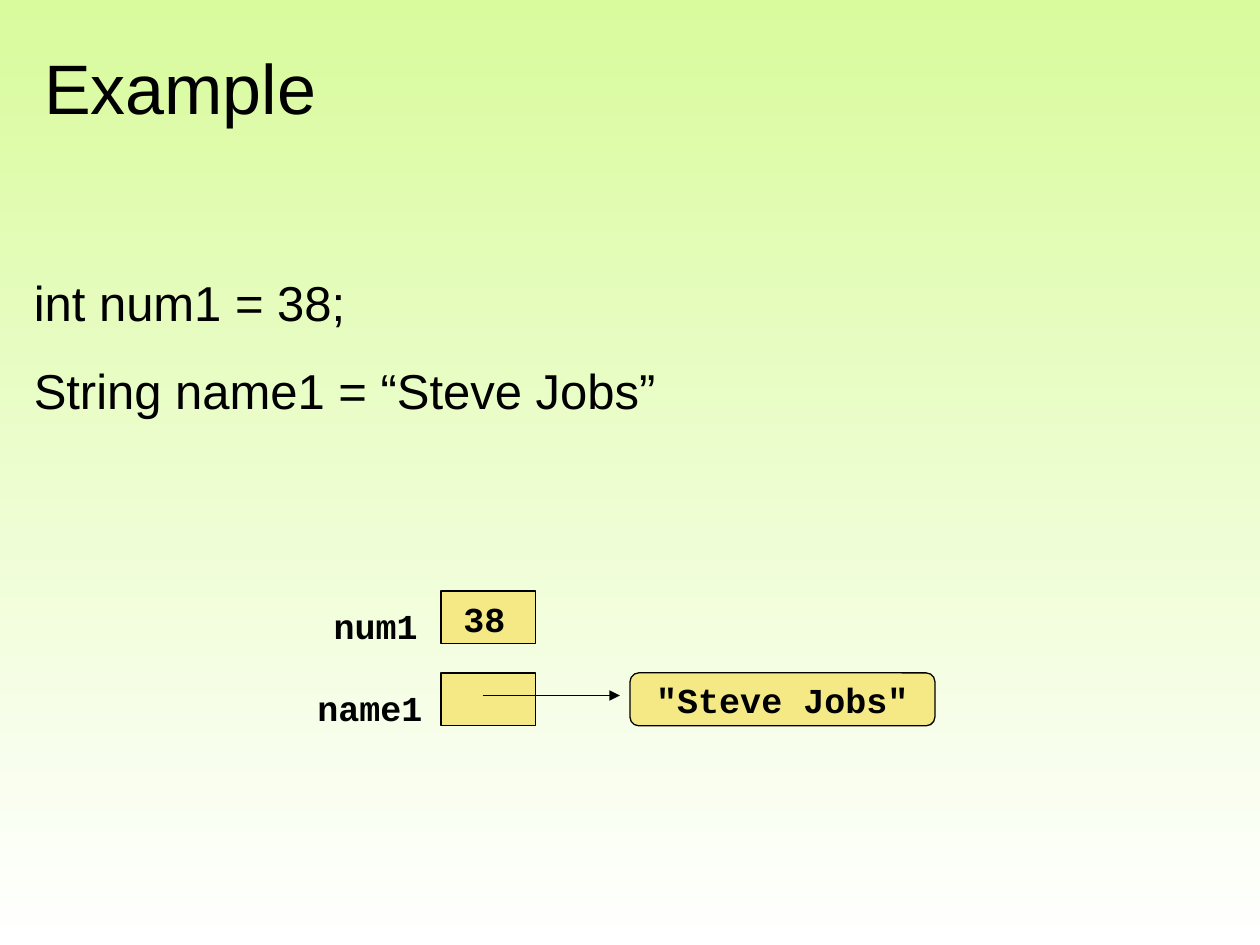
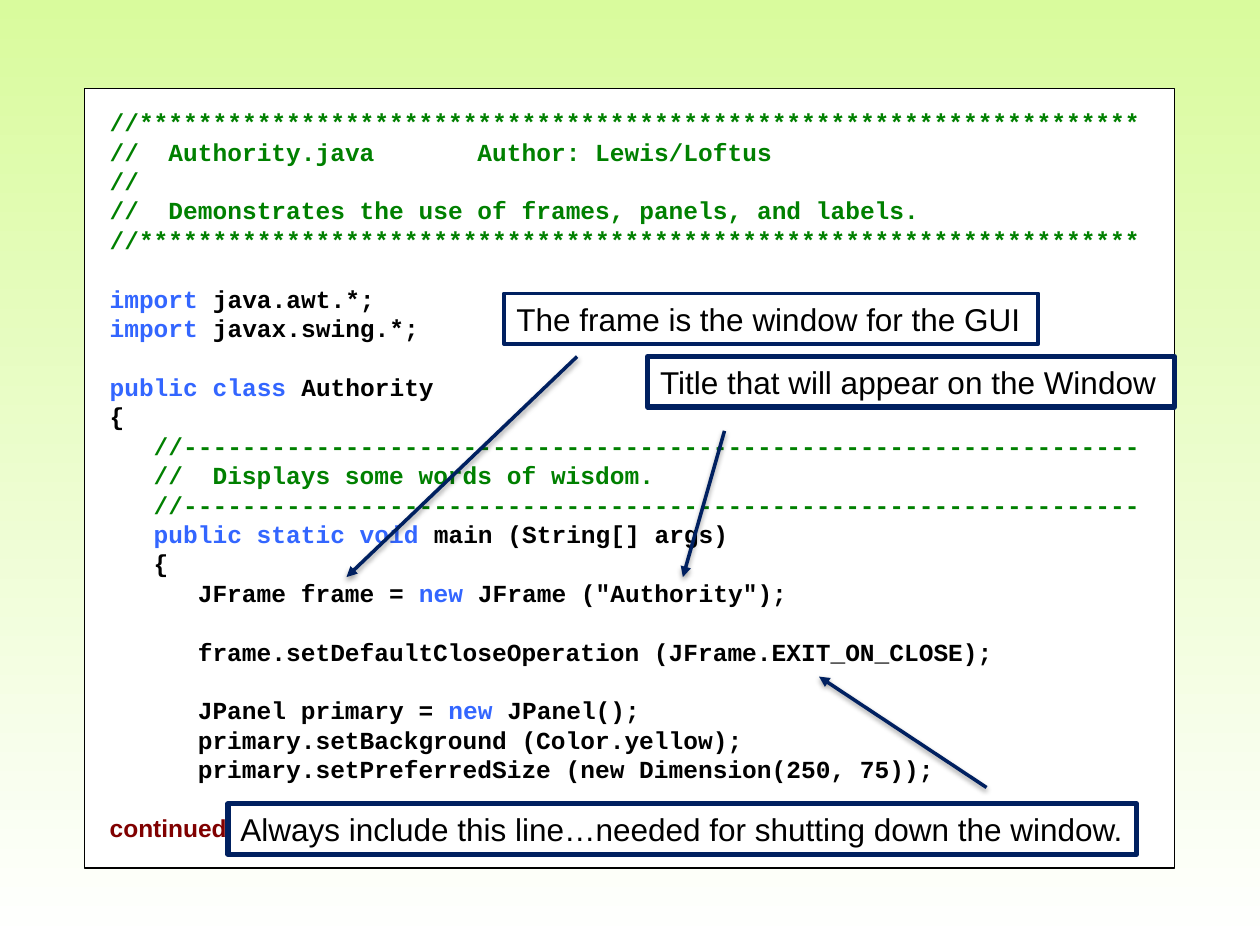
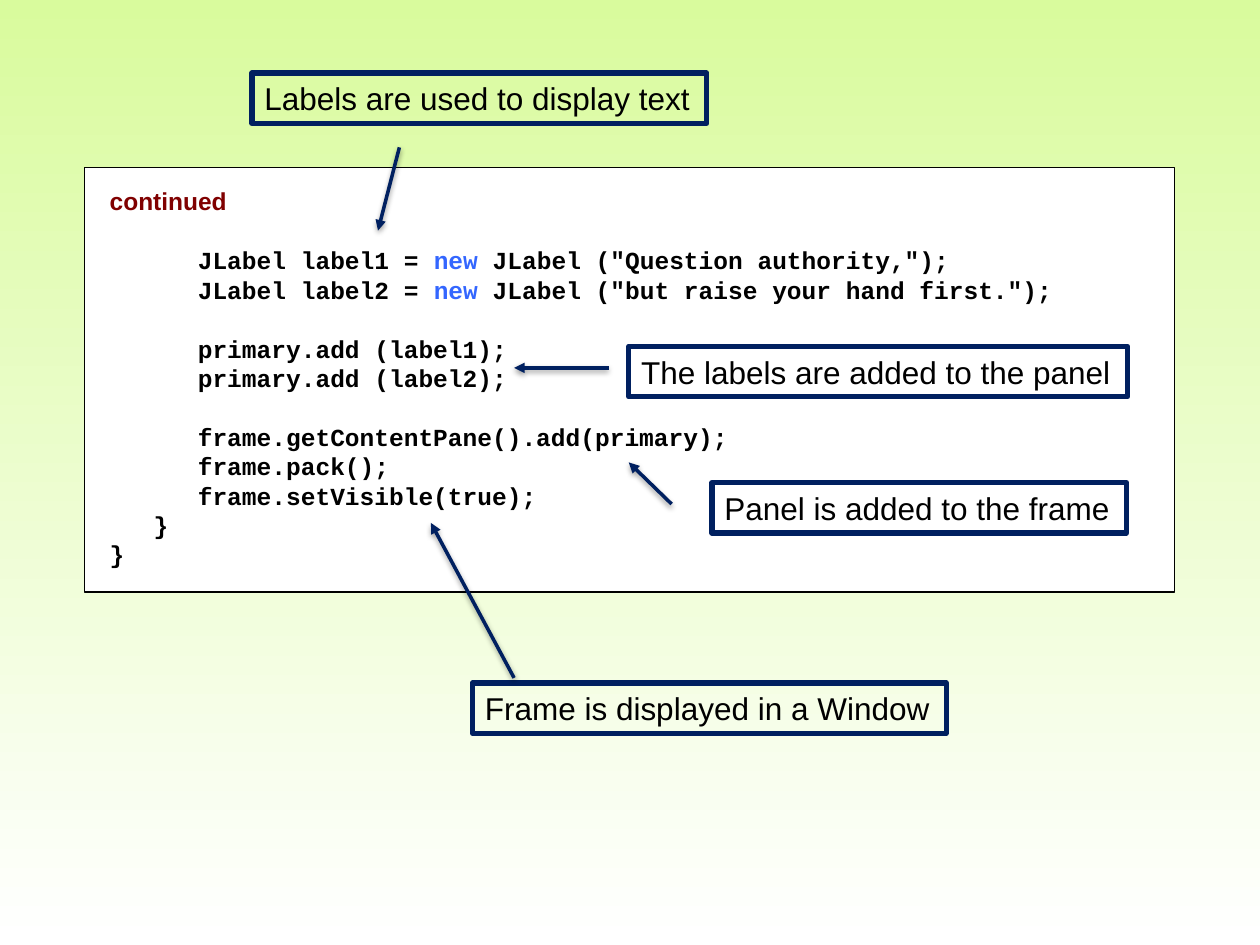
from lxml import etree
from pptx import Presentation
from pptx.dml.color import RGBColor
from pptx.enum.shapes import MSO_CONNECTOR, MSO_SHAPE
from pptx.enum.text import MSO_ANCHOR, PP_ALIGN
from pptx.oxml.ns import qn
from pptx.util import Inches, Pt

RECT = MSO_SHAPE.RECTANGLE
ROUNDED = MSO_SHAPE.ROUNDED_RECTANGLE
STRAIGHT = MSO_CONNECTOR.STRAIGHT
LEFT, CENTER = PP_ALIGN.LEFT, PP_ALIGN.CENTER
TOP, MIDDLE = MSO_ANCHOR.TOP, MSO_ANCHOR.MIDDLE

COLORS = {
    "sky": "D9FB9D", "white": "FFFFFF", "black": "000000", "memory": "F5E985",
    "navy": "002060", "comment": "008000", "keyword": "3366FF", "continued": "800000",
}
SANS, MONO = "Arial", "Courier New"
CODE_SIZE = 14
MONO_PITCH = 1.2
MONO_ADVANCE = 0.6
AUTHOR_COLUMN = 25

STARS = "//" + "*" * 68
DASHES = "   //" + "-" * 65
AUTHORITY_START = [
    STARS,
    "//  Authority.java".ljust(AUTHOR_COLUMN) + "Author: Lewis/Loftus",
    "//",
    "//  Demonstrates the use of frames, panels, and labels.",
    STARS,
    "",
    "`import `java.awt.*;",
    "`import `javax.swing.*;",
    "",
    "`public class `Authority",
    "{",
    DASHES,
    "   //  Displays some words of wisdom.",
    DASHES,
    "   `public static void `main (String[] args)",
    "   {",
    "      JFrame frame = `new `JFrame (\"Authority\");",
    "",
    "      frame.setDefaultCloseOperation (JFrame.EXIT_ON_CLOSE);",
    "",
    "      JPanel primary = `new `JPanel();",
    "      primary.setBackground (Color.yellow);",
    "      primary.setPreferredSize (new Dimension(250, 75));",
    "",
    "continued",
]
AUTHORITY_END = [
    "continued",
    "",
    "      JLabel label1 = `new `JLabel (\"Question authority,\");",
    "      JLabel label2 = `new `JLabel (\"but raise your hand first.\");",
    "",
    "      primary.add (label1);",
    "      primary.add (label2);",
    "",
    "      frame.getContentPane().add(primary);",
    "      frame.pack();",
    "      frame.setVisible(true);",
    "   }",
    "}",
]


def rgb(name):
    return RGBColor.from_string(COLORS[name])


def write(paragraph, text, font=SANS, size=18, color="black", bold=False, align=LEFT):
    run = paragraph.add_run()
    run.text = text
    run.font.name = font
    run.font.size = Pt(size)
    run.font.bold = bold
    run.font.color.rgb = rgb(color)
    paragraph.alignment = align
    if font == MONO:
        paragraph.line_spacing = Pt(size * MONO_PITCH)


def box(shapes, left, top, width, height, fill=None, line="black", weight=0.75, form=RECT):
    shape = shapes.add_shape(form, Inches(left), Inches(top), Inches(width), Inches(height))
    shape.shadow.inherit = False
    if fill:
        shape.fill.solid()
        shape.fill.fore_color.rgb = rgb(fill)
    else:
        shape.fill.background()
    shape.line.color.rgb = rgb(line)
    shape.line.width = Pt(weight)
    return shape


def label(shapes, left, top, width, text):
    frame = shapes.add_textbox(Inches(left), Inches(top), Inches(width), Inches(0.43)).text_frame
    frame.word_wrap = False
    frame.margin_right = 0
    write(frame.paragraphs[0], text, font=MONO, size=20, bold=True)


def arrow(shapes, start, end, color="navy", weight=2, shadow=True):
    connector = shapes.add_connector(STRAIGHT, *map(Inches, start + end))
    connector.line.color.rgb = rgb(color)
    connector.line.width = Pt(weight)
    etree.SubElement(connector.line._get_or_add_ln(), qn("a:tailEnd"), type="triangle")
    effects = etree.SubElement(connector._element.spPr, qn("a:effectLst"))
    if shadow:
        outer = etree.SubElement(effects, qn("a:outerShdw"), blurRad="40000", dist="20000",
                                 dir="5400000", rotWithShape="0")
        black = etree.SubElement(outer, qn("a:srgbClr"), val=COLORS["black"])
        etree.SubElement(black, qn("a:alpha"), val="38000")


def callout(shapes, left, top, width, text, start, end, weight=3):
    frame = box(shapes, left, top, width, 0.4, line="navy", weight=weight).text_frame
    frame.word_wrap = False
    write(frame.paragraphs[0], text)
    arrow(shapes, start, end)


def write_code_line(paragraph, line):
    code = line.lstrip()
    properties = paragraph._p.get_or_add_pPr()
    indent = (len(line) - len(code)) * CODE_SIZE * MONO_ADVANCE
    properties.set("marL", str(Pt(indent)))
    properties.set("indent", "0")
    if code == "continued":
        write(paragraph, code, size=CODE_SIZE, color="continued", bold=True)
        paragraph.line_spacing = Pt(CODE_SIZE * MONO_PITCH)
        return
    plain = "comment" if code.startswith("//") else "black"
    for index, part in enumerate(code.split("`")):
        if part:
            write(paragraph, part, font=MONO, size=CODE_SIZE, bold=True,
                  color="keyword" if index % 2 else plain)


def listing(shapes, top, height, lines):
    frame = box(shapes, 0.67, top, 8.65, height, fill="white").text_frame
    frame.word_wrap = True
    frame.vertical_anchor = TOP
    frame.margin_left = frame.margin_right = Inches(0.2)
    frame.margin_top = frame.margin_bottom = Inches(0.15)
    for index, line in enumerate(lines):
        if not line:
            continue
        paragraph = frame.add_paragraph() if index else frame.paragraphs[0]
        if index and not lines[index - 1]:
            paragraph.space_before = Pt(CODE_SIZE * MONO_PITCH)
        write_code_line(paragraph, line)


def title(slide, text):
    heading = slide.shapes.title
    heading.left, heading.top = Inches(0.25), Inches(0.3)
    heading.width, heading.height = Inches(9.5), Inches(0.78)
    heading.text_frame.vertical_anchor = MIDDLE
    write(heading.text_frame.paragraphs[0], text, size=40)


def example_slide(slide):
    title(slide, "Example")
    declarations = slide.shapes.add_textbox(
        Inches(0.17), Inches(2.17), Inches(9.5), Inches(2.25)).text_frame
    declarations.word_wrap = True
    first, second = declarations.paragraphs[0], declarations.add_paragraph()
    write(first, "int num1 = 38;", size=28)
    write(second, "String name1 = “Steve Jobs”", size=28)
    first.line_spacing = second.line_spacing = 0.9
    second.space_before = Pt(19.5)

    memory = slide.shapes.add_group_shape().shapes
    for top in (4.69, 5.34):
        box(memory, 3.5, top, 0.75, 0.42, fill="memory")
    string_object = box(memory, 5, 5.34, 2.42, 0.42, fill="memory", form=ROUNDED)
    string_object.text_frame.word_wrap = False
    write(string_object.text_frame.paragraphs[0], '"Steve Jobs"',
          font=MONO, size=20, bold=True, align=CENTER)
    label(memory, 2.55, 4.75, 0.87, "num1")
    label(memory, 2.42, 5.4, 1.03, "name1")
    label(memory, 3.58, 4.69, 0.53, "38")
    arrow(memory, (3.83, 5.52), (4.92, 5.52), color="black", weight=0.75, shadow=False)


def frame_slide(slide):
    shapes = slide.shapes
    listing(shapes, 0.7, 6.19, AUTHORITY_START)
    callout(shapes, 4, 2.33, 4.24, "The frame is the window for the GUI",
            (4.58, 2.83), (2.75, 4.58), weight=2.25)
    callout(shapes, 5.14, 2.83, 4.18, "Title that will appear on the Window",
            (5.75, 3.42), (5.42, 4.58))
    callout(shapes, 1.81, 6.38, 7.21,
            "Always include this line…needed for shutting down the window.",
            (7.83, 6.25), (6.5, 5.37))


def labels_slide(slide):
    shapes = slide.shapes
    listing(shapes, 1.33, 3.37, AUTHORITY_END)
    callout(shapes, 2, 0.58, 3.61, "Labels are used to display text",
            (3.17, 1.17), (3, 1.83))
    callout(shapes, 4.99, 2.75, 3.96, "The labels are added to the panel",
            (4.83, 2.92), (4.08, 2.92))
    callout(shapes, 5.65, 3.83, 3.29, "Panel is added to the frame",
            (5.33, 4), (4.99, 3.67))
    callout(shapes, 3.75, 5.42, 3.76, "Frame is displayed in a Window",
            (4.08, 5.38), (3.42, 4.15))


def paint_background(master):
    fill = master.background.fill
    fill.gradient()
    fill.gradient_angle = 270
    for stop, color in zip(fill.gradient_stops, ("sky", "white")):
        stop.color.rgb = rgb(color)


def main():
    deck = Presentation()
    deck.slide_width, deck.slide_height = Inches(10), Inches(7.5)
    paint_background(deck.slide_master)
    title_only, blank = deck.slide_layouts[5], deck.slide_layouts[6]
    example_slide(deck.slides.add_slide(title_only))
    frame_slide(deck.slides.add_slide(blank))
    labels_slide(deck.slides.add_slide(blank))
    deck.save("out.pptx")


if __name__ == "__main__":
    main()
